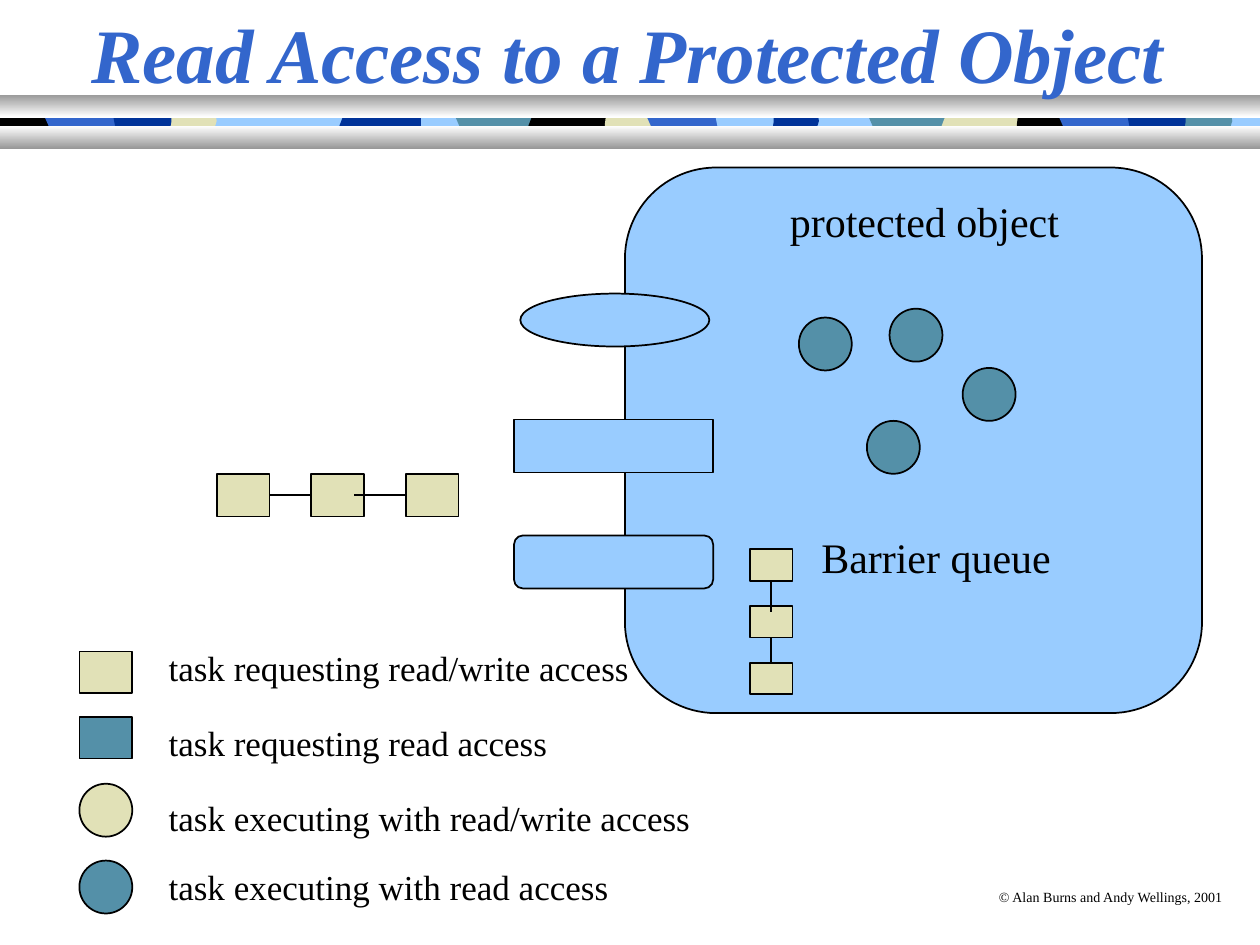
"""Build the slide on read access to a protected object."""
from lxml import etree
from pptx import Presentation
from pptx.dml.color import RGBColor
from pptx.enum.shapes import MSO_CONNECTOR, MSO_SHAPE
from pptx.enum.text import MSO_ANCHOR, MSO_AUTO_SIZE, PP_ALIGN
from pptx.oxml.ns import qn
from pptx.util import Inches, Pt

RECTANGLE = MSO_SHAPE.RECTANGLE
ROUNDED = MSO_SHAPE.ROUNDED_RECTANGLE
OVAL = MSO_SHAPE.OVAL
STRAIGHT = MSO_CONNECTOR.STRAIGHT
MIDDLE = MSO_ANCHOR.MIDDLE
CENTER = PP_ALIGN.CENTER
FIXED = MSO_AUTO_SIZE.NONE
GROW = MSO_AUTO_SIZE.SHAPE_TO_FIT_TEXT
TOP, LEFT, BOTTOM, RIGHT = range(4)

FONT = "Times New Roman"
COLORS = {
    "black": "000000", "blue": "3366CC", "navy": "003399", "sky": "99CCFF",
    "teal": "5490A8", "cream": "E1E1B7", "white": "FFFFFF", "gray": "989898",
}
TITLE = "Read Access to a Protected Object"

BAND_TOP = 0.85
STRAIGHT_EDGE = [(0, 0), (0, 0.28)]
HOLLOW_EDGE = [(0, 0), (-0.03, 0.1), (-0.03, 0.17), (-0.01, 0.23), (0, 0.28)]
BULGE_EDGE = [(0, 0), (-0.04, 0.06), (-0.05, 0.14), (-0.04, 0.22), (0, 0.28)]
TILES = {
    "plain": (9.97, STRAIGHT_EDGE, STRAIGHT_EDGE),
    "start": (0.51, STRAIGHT_EDGE, HOLLOW_EDGE),
    "wave": (0.63, [(0, 0), (-0.03, 0.03), (0, 0.09), (0.03, 0.16), (0, 0.28)], STRAIGHT_EDGE),
    "swell": (0.63, [(0, 0), (0.01, 0.08), (-0.02, 0.16), (-0.04, 0.23), (0, 0.28)], STRAIGHT_EDGE),
    "barrel": (0.33, BULGE_EDGE, [(0, 0), (0.05, 0.05), (0.06, 0.11), (0.03, 0.21), (0, 0.28)]),
    "cup": (0.44, BULGE_EDGE, HOLLOW_EDGE),
    "notch": (0.63, [(0, 0), (0.04, 0.09), (0.08, 0.18), (0.06, 0.22), (0, 0.28)], STRAIGHT_EDGE),
    "leaf": (0.41, [(0, 0), (-0.02, 0.08), (0, 0.18), (-0.02, 0.24), (0, 0.28)],
             [(0, 0), (0.03, 0.04), (0.03, 0.12), (0, 0.28)]),
}
BAND = [
    ("plain", 0.03, "sky"),
    ("wave", 6.9, "teal"), ("swell", 7.49, "cream"), ("barrel", 9.39, "teal"),
    ("cup", 8.12, "black"), ("notch", 8.37, "blue"), ("leaf", 8.97, "navy"),
    ("wave", 3.62, "teal"), ("swell", 4.21, "black"), ("barrel", 6.11, "navy"),
    ("cup", 4.85, "cream"), ("notch", 5.1, "blue"), ("leaf", 5.7, "sky"),
    ("wave", 2.12, "sky"), ("swell", 2.71, "navy"), ("barrel", 1.33, "cream"),
    ("start", 0, "black"), ("notch", 0.32, "blue"), ("leaf", 0.92, "navy"),
]
BARS = [(0.75, ("gray", "white")), (1, ("white", "gray"))]

PROTECTED_OBJECT = [
    (ROUNDED, 4.96, 1.33, 4.58, 4.33, "sky"),
    (OVAL, 4.13, 2.33, 1.5, 0.42, "sky"),
    (ROUNDED, 4.08, 4.25, 1.58, 0.42, "sky"),
    (RECTANGLE, 4.08, 3.33, 1.58, 0.42, "sky"),
]
LEGEND = [
    (RECTANGLE, 5.17, 0.33, "cream", 5.08, 3.9, "task requesting read/write access"),
    (RECTANGLE, 5.69, 0.33, "teal", 5.68, 3.25, "task requesting read access"),
    (OVAL, 6.22, 0.42, "cream", 6.27, 4.39, "task executing with read/write access"),
    (OVAL, 6.83, 0.42, "teal", 6.82, 3.74, "task executing with read access"),
]
LABELS = [
    (7.83, 7, 2.02, 0.24, 8, "© Alan Burns and Andy Wellings, 2001"),
    (6.17, 1.5, 2.36, 0.5, 24, "protected object"),
    (6.42, 4.17, 2.04, 0.5, 24, "Barrier queue"),
]
READERS = [(6.34, 2.52), (6.88, 3.34), (7.06, 2.45), (7.64, 2.92)]
TASK = 0.42


def color(name):
    return RGBColor.from_string(COLORS[name])


def add_span(para, text, size, color_name):
    span = para.add_run()
    span.text = text
    span.font.name = FONT
    span.font.size = Pt(size)
    span.font.color.rgb = color(color_name)
    return span


def add_label(slide, left, top, width, height, size, text):
    box = slide.shapes.add_textbox(Inches(left), Inches(top), Inches(width), Inches(height))
    box.text_frame.word_wrap = False
    box.text_frame.auto_size = GROW
    add_span(box.text_frame.paragraphs[0], text, size, "black")


def add_outlined(slide, kind, left, top, width, height, fill):
    shape = slide.shapes.add_shape(kind, Inches(left), Inches(top), Inches(width), Inches(height))
    shape.shadow.inherit = False
    shape.fill.solid()
    shape.fill.fore_color.rgb = color(fill)
    shape.line.color.rgb = color("black")
    shape.line.width = Pt(1)
    return shape


def add_link(slide, start, end):
    link = slide.shapes.add_connector(STRAIGHT, *(Inches(value) for value in start + end))
    link.line.color.rgb = color("black")
    link.line.width = Pt(1)
    etree.SubElement(link.element.spPr, qn("a:effectLst"))
    return link


def add_tile(slide, name, left, fill):
    width, left_edge, right_edge = TILES[name]
    points = [(left + x, y) for x, y in left_edge]
    points += [(left + width + x, y) for x, y in reversed(right_edge)]
    points = [(Inches(x), Inches(BAND_TOP + y)) for x, y in points]
    builder = slide.shapes.build_freeform(*points[0])
    builder.add_line_segments(points[1:], close=True)
    tile = builder.convert_to_shape()
    tile.shadow.inherit = False
    tile.fill.solid()
    tile.fill.fore_color.rgb = color(fill)
    tile.line.fill.background()


def add_bar(slide, top, shades):
    bar = slide.shapes.add_shape(RECTANGLE, 0, Inches(top), Inches(10), Inches(0.18))
    bar.shadow.inherit = False
    bar.line.fill.background()
    bar.fill.gradient()
    bar.fill.gradient_angle = 270
    for stop, shade in zip(bar.fill.gradient_stops, shades):
        stop.color.rgb = color(shade)


def format_title(slide):
    title = slide.shapes.title
    title.left, title.top, title.width, title.height = 0, 0, Inches(9.97), Inches(0.83)
    frame = title.text_frame
    frame.auto_size = FIXED
    frame.word_wrap = True
    frame.vertical_anchor = MIDDLE
    para = frame.paragraphs[0]
    para.alignment = CENTER
    span = add_span(para, TITLE, 44, "blue")
    span.font.bold = span.font.italic = True
    slide.shapes.element.append(title.element)


def add_waiting_tasks(slide):
    queue = [add_outlined(slide, RECTANGLE, 1.72 + 0.75 * i, 3.76, TASK, 0.34, "cream")
             for i in range(3)]
    link = add_link(slide, (2.14, 3.93), (2.47, 3.93))
    link.begin_connect(queue[0], RIGHT)
    link.end_connect(queue[1], LEFT)
    add_link(slide, (3.22, 3.93), (2.81, 3.93)).begin_connect(queue[2], LEFT)


def add_barrier_queue(slide):
    queue = [add_outlined(slide, RECTANGLE, 5.95, 4.36 + 0.45 * i, 0.34, 0.25, "cream")
             for i in range(3)]
    link = add_link(slide, (6.12, 5.26), (6.12, 5.06))
    link.begin_connect(queue[2], TOP)
    link.end_connect(queue[1], BOTTOM)
    add_link(slide, (6.12, 4.61), (6.12, 4.86)).begin_connect(queue[0], BOTTOM)


def main():
    deck = Presentation()
    deck.slide_width, deck.slide_height = Inches(10), Inches(7.5)
    slide = deck.slides.add_slide(deck.slide_layouts[5])
    for tile in BAND:
        add_tile(slide, *tile)
    for bar in BARS:
        add_bar(slide, *bar)
    format_title(slide)
    for part in PROTECTED_OBJECT:
        add_outlined(slide, *part)
    for kind, top, height, fill, label_top, width, text in LEGEND:
        add_outlined(slide, kind, 0.63, top, TASK, height, fill)
        add_label(slide, 1.24, label_top, width, 0.44, 20, text)
    for label in LABELS:
        add_label(slide, *label)
    add_waiting_tasks(slide)
    add_barrier_queue(slide)
    for left, top in READERS:
        add_outlined(slide, OVAL, left, top, TASK, TASK, "teal")
    deck.save("out.pptx")


if __name__ == "__main__":
    main()
